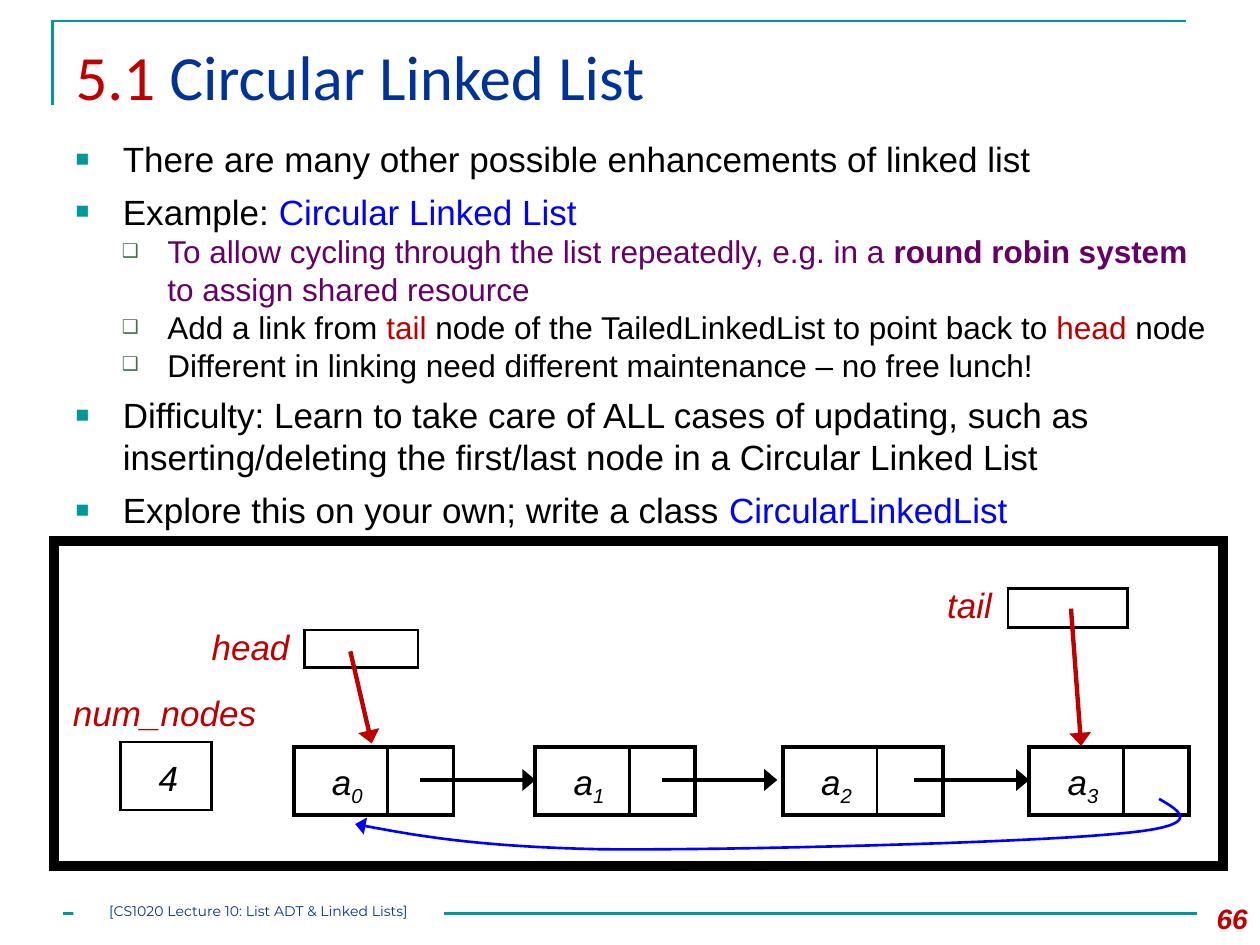
from dataclasses import dataclass

from lxml.etree import SubElement
from pptx import Presentation
from pptx.dml.color import RGBColor
from pptx.enum.shapes import MSO_CONNECTOR, MSO_SHAPE
from pptx.enum.text import MSO_ANCHOR, MSO_AUTO_SIZE, PP_ALIGN
from pptx.oxml.ns import qn
from pptx.util import Pt


@dataclass
class Theme:
    teal: str = "009999"
    navy: str = "003399"
    red: str = "C00000"
    blue: str = "0000FF"
    purple: str = "660066"
    green: str = "4C6D4E"
    black: str = "000000"
    white: str = "FFFFFF"
    title: int = 36
    body: int = 20
    sub: int = 18
    number: int = 16
    footer: int = 8


T = Theme()


def add_runs(p, runs, size, name="Arial", **shared):
    """Add (text, colour, extra format) runs; the extra "sub" lowers a run."""
    for text, color, *extra in runs:
        r = p.add_run()
        r.text = text
        r.font.color.rgb = RGBColor.from_string(color)
        values = {"size": Pt(size), "name": name, **shared, **(extra[0] if extra else {})}
        if values.pop("sub", False):
            r._r.get_or_add_rPr().set("baseline", "-25000")
        for key, value in values.items():
            setattr(r.font, key, value)


def style(sp, line=None, width=1.5, fill=None, arrow=False):
    if hasattr(sp, "fill"):
        sp.shadow.inherit = False
        if fill:
            sp.fill.solid()
            sp.fill.fore_color.rgb = RGBColor.from_string(fill)
        else:
            sp.fill.background()
    else:
        SubElement(sp._element.spPr, qn("a:effectLst"))
    if line:
        sp.line.color.rgb = RGBColor.from_string(line)
        sp.line.width = Pt(width)
        ln = sp.line._get_or_add_ln()
        SubElement(ln, qn("a:miter"), lim="800000")
        if arrow:
            SubElement(ln, qn("a:tailEnd"), type="triangle", w="lg", len="med")
    else:
        sp.line.fill.background()


prs = Presentation()
prs.slide_width, prs.slide_height = Pt(720), Pt(540)
s = prs.slides.add_slide(prs.slide_layouts[1])

# Corner rule and footer rule
builder = s.shapes.build_freeform(Pt(30), Pt(60), scale=1.0)
builder.add_line_segments([(Pt(30), Pt(12)), (Pt(678), Pt(12))], close=False)
style(builder.convert_to_shape(), T.teal)
rule = s.shapes.add_connector(MSO_CONNECTOR.STRAIGHT, Pt(36), Pt(522), Pt(684), Pt(522))
style(rule, T.teal)

# Title and list placeholders
title, body = s.shapes.title, s.placeholders[1]
for sp, box, anchor in [
    (title, (36, 14.5, 648, 62), MSO_ANCHOR.MIDDLE),
    (body, (36, 75, 666, 229), MSO_ANCHOR.TOP),
]:
    sp.left, sp.top, sp.width, sp.height = map(Pt, box)
    sp.text_frame.auto_size = MSO_AUTO_SIZE.NONE
    sp.text_frame.vertical_anchor = anchor

p = title.text_frame.paragraphs[0]
p.alignment = PP_ALIGN.LEFT
p.line_spacing = 0.9
add_runs(p, [("5.1 ", T.red), ("Circular Linked List", T.navy)], T.title, "Calibri")

items = [
    (0, [("There are many other possible enhancements of linked list", T.black)]),
    (0, [("Example: ", T.black), ("Circular Linked List", T.blue)]),
    (1, [("To allow cycling through the list repeatedly, e.g. in a ", T.purple),
         ("round robin system ", T.purple, {"bold": True}),
         ("to assign shared resource", T.purple)]),
    (1, [("Add a link from ", T.black), ("tail", T.red),
         (" node of the TailedLinkedList to point back to ", T.black),
         ("head", T.red), (" node", T.black)]),
    (1, [("Different in linking need different maintenance – no free lunch!", T.black)]),
    (0, [("Difficulty: Learn to take care of ALL cases of updating, such as "
          "inserting/deleting the first/last node in a Circular Linked List", T.black)]),
    (0, [("Explore this on your own; write a class ", T.black),
         ("CircularLinkedList", T.blue)]),
]
# Per level: type size, space before, left margin, hanging indent, bullet, colour, percent
levels = [
    (T.body, 6, 27, 27, "■", T.teal, 65),
    (T.sub, 0, 52.5, 26, "❑", T.green, 60),
]
tf = body.text_frame
for i, (level, runs) in enumerate(items):
    size, before, margin, hang, bullet, color, percent = levels[level]
    p = tf.paragraphs[0] if i == 0 else tf.add_paragraph()
    p.level = level
    p.line_spacing = 1.0
    p.space_before = Pt(before)
    pPr = p._p.get_or_add_pPr()
    pPr.set("marL", str(Pt(margin)))
    pPr.set("indent", str(-Pt(hang)))
    SubElement(SubElement(pPr, qn("a:buClr")), qn("a:srgbClr"), val=color)
    SubElement(pPr, qn("a:buSzPct"), val=str(percent * 1000))
    SubElement(pPr, qn("a:buChar"), char=bullet)
    add_runs(p, runs, size)

# Diagram: boxes, labels, arrows
diagram = s.shapes.add_group_shape().shapes
node_lefts = [167.8, 306, 447.3, 588.2]
node_top, node_w, node_h = 427, 91.4, 38.9

boxes = [
    ((31, 309, 668, 185.8), 6),
    ((69, 424, 52, 39), 1.5),
    ((174.2, 360, 64.8, 21.6), 1.5),
    ((576, 336.2, 68.4, 22.3), 1.5),
]
boxes += [((x, node_top, node_w, node_h), 2.25) for x in node_lefts]
for box, width in boxes:
    style(diagram.add_shape(MSO_SHAPE.RECTANGLE, *map(Pt, box)), T.black, width)

labels = [
    ((34.6, 391.7, 120, 31.5), [("num_nodes", T.red)]),
    ((83.5, 429, 26, 31.5), [("4", T.black)]),
    ((113.8, 354, 59, 31.5), [("head", T.red)]),
    ((534.2, 330, 40.3, 31.5), [("tail", T.red)]),
]
labels += [
    ((x + 14.8, 430.8, 33, 31.5), [("a", T.black), (str(i), T.black, {"sub": True})])
    for i, x in enumerate(node_lefts)
]
for box, runs in labels:
    tf = diagram.add_textbox(*map(Pt, box)).text_frame
    tf.word_wrap = False
    add_runs(tf.paragraphs[0], runs, T.body, italic=True)

lines = [((x + 53.8, 426.5, x + 53.8, 466), T.black, 1.5, False) for x in node_lefts]
lines += [((x, 445.7, x + 66.2, 445.7), T.black, 2.5, True) for x in (239.8, 378, 522)]
lines += [
    ((200.2, 372.2, 212.4, 424.8), T.red, 2.5, True),
    ((612, 347.8, 617.8, 426.2), T.red, 2.5, True),
]
for ends, color, width, arrow in lines:
    line = diagram.add_connector(MSO_CONNECTOR.STRAIGHT, *map(Pt, ends))
    style(line, color, width, arrow=arrow)

# Link from the last node back to the first, as a chain of Bezier curves
start = (662.4, 456.5)
curves = [
    ((676, 464.4), (689, 472.3), (636.5, 476.6)),
    ((583.2, 481.7), (415.4, 486), (343.4, 485.3)),
    ((271.4, 483.8), (236.9, 477.4), (203, 470.9)),
]
steps = 16
points, a = [], start
for b, c, d in curves:
    for t in (k / steps for k in range(1, steps + 1)):
        u = 1 - t
        points.append(tuple(
            Pt(u**3 * a[n] + 3 * u * u * t * b[n] + 3 * u * t * t * c[n] + t**3 * d[n])
            for n in (0, 1)
        ))
    a = d
builder = diagram.build_freeform(*map(Pt, start), scale=1.0)
builder.add_line_segments(points, close=False)
style(builder.convert_to_shape(), T.blue, arrow=True)

# Footer and slide number
footer = s.shapes.add_shape(MSO_SHAPE.RECTANGLE, Pt(42), Pt(516), Pt(211.7), Pt(16.6))
style(footer, fill=T.white)
tf = footer.text_frame
for side in ("left", "top", "right", "bottom"):
    setattr(tf, f"margin_{side}", 0)
tf.vertical_anchor = MSO_ANCHOR.TOP
p = tf.paragraphs[0]
p.alignment = PP_ALIGN.CENTER
add_runs(p, [("[CS1020 Lecture 10: List ADT & Linked Lists]", T.navy)], T.footer, "Montserrat")

tf = s.shapes.add_textbox(Pt(672), Pt(510), Pt(48), Pt(29)).text_frame
tf.word_wrap = True
tf.vertical_anchor = MSO_ANCHOR.MIDDLE
p = tf.paragraphs[0]
p.alignment = PP_ALIGN.RIGHT
add_runs(p, [("66", T.red)], T.number, bold=True, italic=True)

prs.save("out.pptx")
